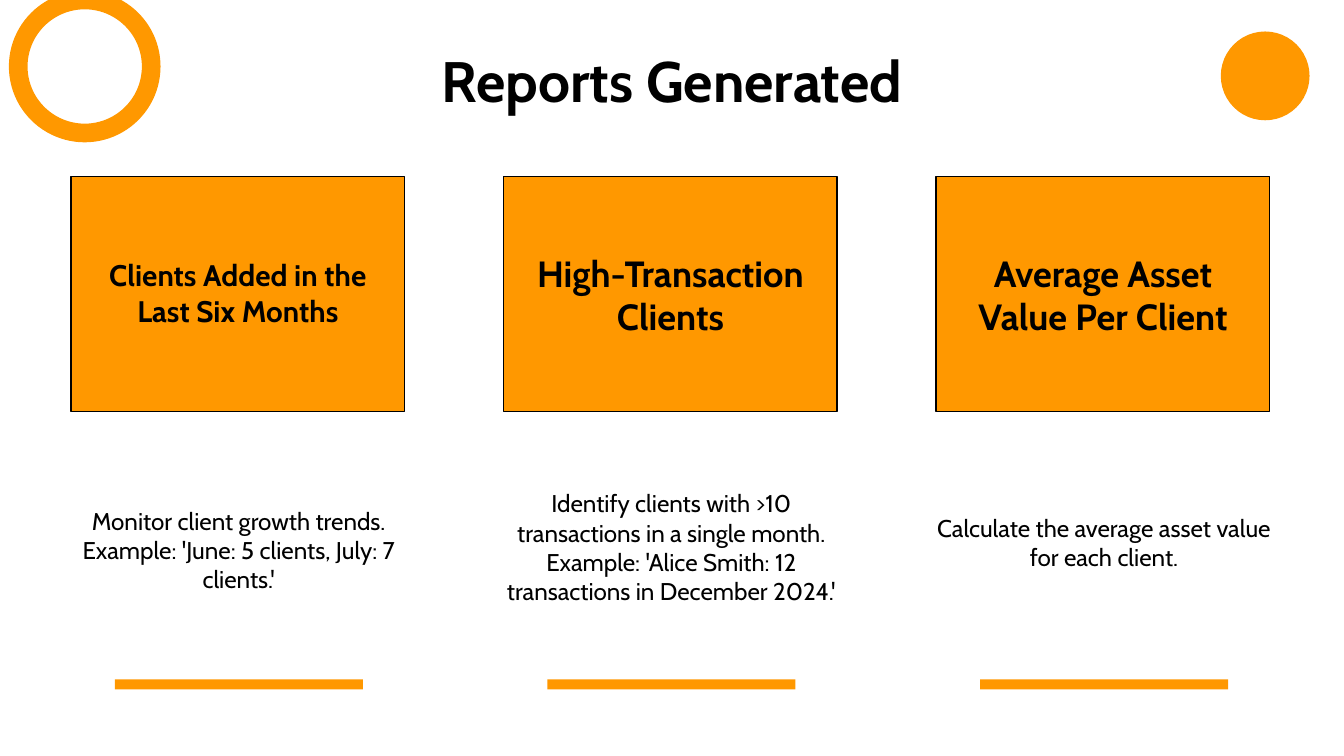
import pptx
import pptx.util
import pptx.dml.color
import pptx.enum.shapes
import pptx.enum.text
from dataclasses import dataclass

Pt = pptx.util.Pt
MSO = pptx.enum.shapes.MSO_SHAPE


@dataclass
class Theme:
    font: str = "Cabin"
    accent: str = "FF9800"
    ink: str = "000000"
    title: float = 40.7
    heading: float = 26
    small_heading: float = 21.2
    body: float = 17.3


class Deck:
    def __init__(self, theme):
        self.theme = theme
        self.prs = pptx.Presentation()
        self.prs.slide_width = Pt(960)
        self.prs.slide_height = Pt(540)
        self.s = self.prs.slides.add_slide(self.prs.slide_layouts[6])

    def color(self, value):
        return pptx.dml.color.RGBColor.from_string(value)

    def shape(self, kind, x, y, w, h, fill=None, line=None, weight=1):
        sp = self.s.shapes.add_shape(kind, Pt(x), Pt(y), Pt(w), Pt(h))
        sp.shadow.inherit = False
        if fill:
            sp.fill.solid()
            sp.fill.fore_color.rgb = self.color(fill)
        else:
            sp.fill.background()
        if line:
            sp.line.color.rgb = self.color(line)
            sp.line.width = Pt(weight)
        else:
            sp.line.fill.background()

    def text(self, text, x, y, w, h, size, bold=False):
        tf = self.s.shapes.add_textbox(Pt(x), Pt(y), Pt(w), Pt(h)).text_frame
        tf.word_wrap = True
        tf.vertical_anchor = pptx.enum.text.MSO_ANCHOR.MIDDLE
        tf.text = text
        p = tf.paragraphs[0]
        p.alignment = pptx.enum.text.PP_ALIGN.CENTER
        r = p.runs[0]
        r.font.name = self.theme.font
        r.font.size = Pt(size)
        r.font.bold = bold
        r.font.color.rgb = self.color(self.theme.ink)


def main():
    theme = Theme()
    deck = Deck(theme)
    deck.shape(MSO.OVAL, 13, 0, 95, 95, line=theme.accent, weight=13.33)
    deck.text("Reports Generated", 255, 28.8, 450, 56.9, theme.title, True)
    deck.shape(MSO.OVAL, 872, 22.5, 63.4, 63.4, fill=theme.accent)

    reports = [
        ("Clients Added in the Last Six Months", theme.small_heading, 177.1,
         "Monitor client growth trends. Example: 'June: 5 clients, July: 7 clients.'", 322.8),
        ("High-Transaction Clients", theme.heading, 178.6,
         "Identify clients with >10 transactions in a single month. "
         "Example: 'Alice Smith: 12 transactions in December 2024.'", 320.6),
        ("Average Asset Value Per Client", theme.heading, 178.6,
         "Calculate the average asset value for each client.", 317.4),
    ]
    first_left, pitch = 50.6, 309
    for i, (heading, size, heading_top, body, body_top) in enumerate(reports):
        left = first_left + i * pitch
        deck.shape(MSO.RECTANGLE, left, 126, 238.3, 167.8, theme.accent, theme.ink)
        deck.text(heading, left + 11, heading_top, 216.7, 63.4, size, True)
        deck.text(body, left - 15.5, body_top, 271, 140, theme.body)
        deck.shape(MSO.RECTANGLE, left + 31.5, 485.3, 177.1, 7.2, theme.accent)

    deck.prs.save("out.pptx")


if __name__ == "__main__":
    main()
